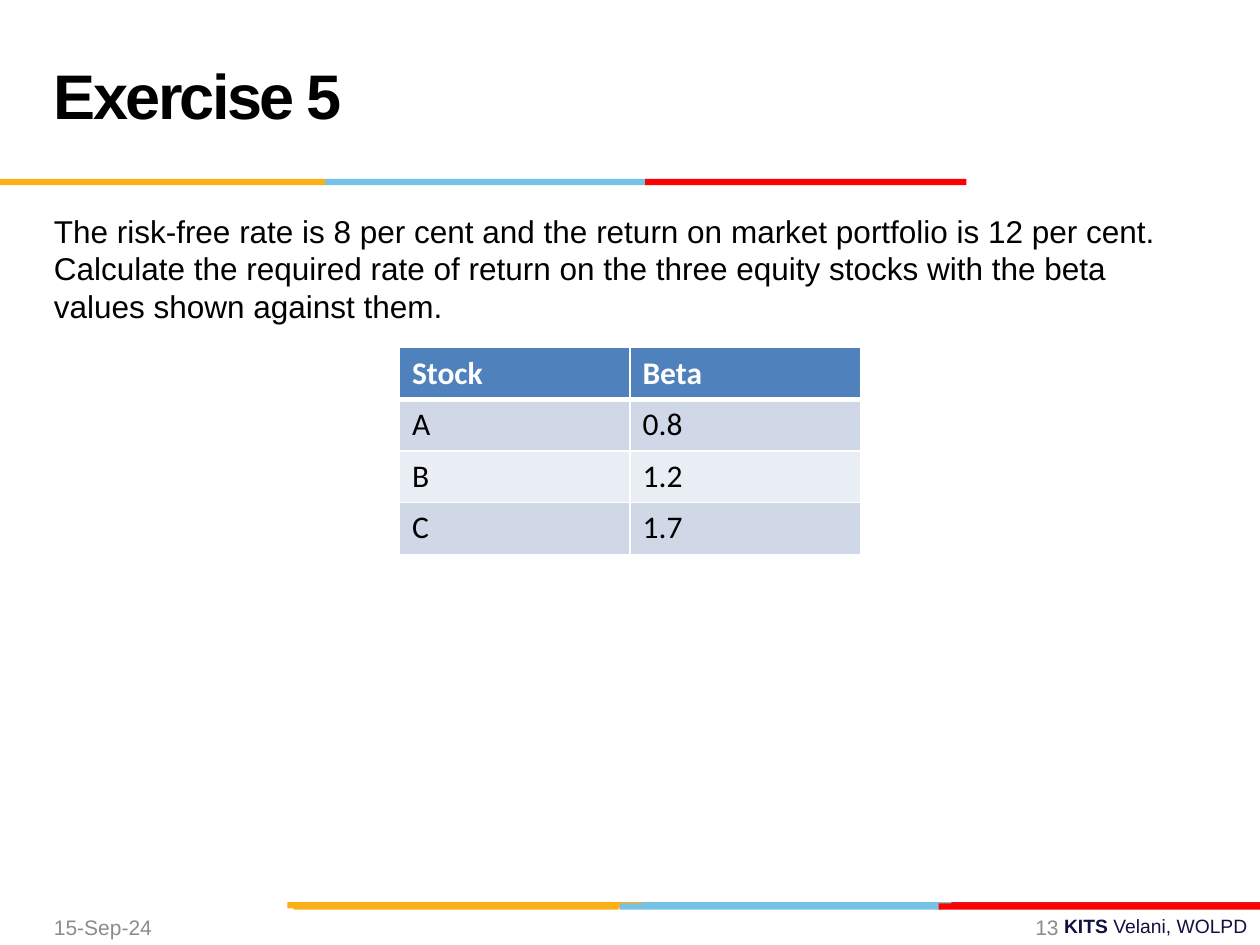
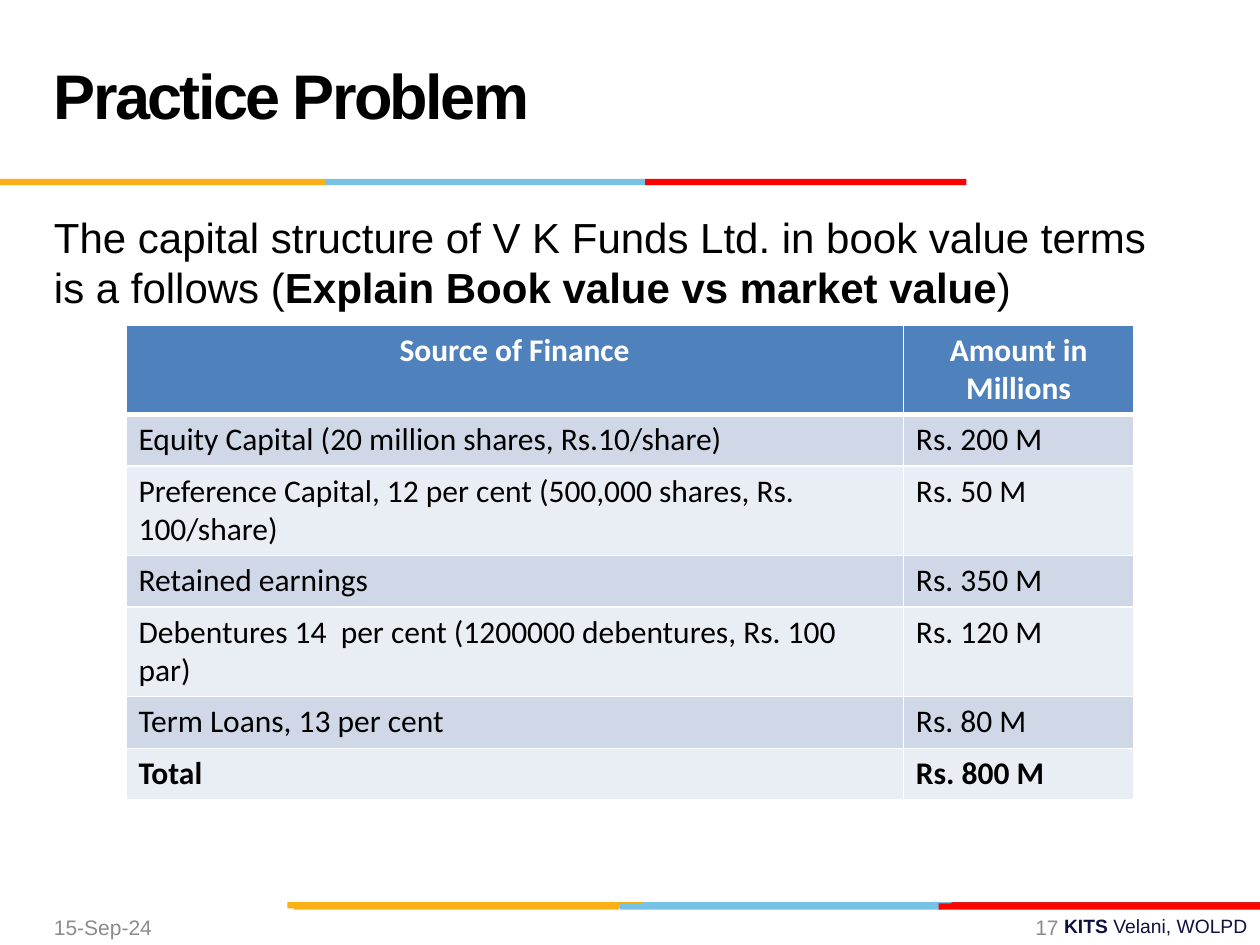
from dataclasses import dataclass
from lxml.etree import SubElement
from pptx import Presentation
from pptx.dml.color import RGBColor as RGB
from pptx.enum.shapes import MSO_SHAPE as Kind
from pptx.enum.text import MSO_ANCHOR as Anchor, PP_ALIGN as Align
from pptx.oxml.ns import qn
from pptx.util import Inches as In, Pt


@dataclass(frozen=True)
class Theme:
    gold: str = "FCB017"
    sky: str = "76C2E5"
    brick: str = "E31C24"
    red: str = "FF0000"
    ink: str = "000000"
    white: str = "FFFFFF"
    grey: str = "8C8C8C"
    navy: str = "101141"
    head: str = "4F81BD"
    bands: tuple = ("D0D8E8", "E9EDF4")
    font: str = "Arial"
    cell_font: str = "Calibri"
    title: int = 36
    cell: int = 18
    small: int = 12
    brand: int = 11


T = Theme()
WIDE, HIGH = 10, 7.5
EDGE = 0.33
FOOT = (7.21, 0.29)
LINE, PAD = 0.3, 0.11  # height of one text line in a cell, and its margins

DATE = "15-Sep-24"
BRAND = [("KITS ", True), ("Velani, WOLPD", False)]

# Each stripe: top, then (left, width, colour) of its parts from back to front
STRIPES = [
    (7.16, [(5.06, 2.55, T.sky), (7.55, 2.45, T.brick), (2.28, 2.82, T.gold)]),
    (7.17, [(4.92, 2.55, T.sky), (2.33, 2.58, T.gold), (7.45, 2.55, T.red)]),
    (1.42, [(2.58, 2.55, T.sky), (0, 2.58, T.gold), (5.12, 2.55, T.red)]),
]

SLIDES = [
    dict(
        title="Exercise 5", page="13", size=18,
        body=[("The risk-free rate is 8 per cent and the return on market "
               "portfolio is 12 per cent. Calculate the required rate of "
               "return on the three equity stocks with the beta values shown "
               "against them.", False)],
        top=2.76, cols=(1.83, 1.83), align=Align.LEFT, tall=(), bold=(0,),
        rows=[("Stock", "Beta"), ("A", "0.8"), ("B", "1.2"), ("C", "1.7")],
    ),
    dict(
        title="Practice Problem", page="17", size=24,
        body=[("The capital structure of V K Funds Ltd. in book value terms "
               "is a follows (", False),
              ("Explain Book value vs market value", True), (")", False)],
        top=2.58, cols=(6.17, 1.83), align=Align.CENTER,
        tall=(0, 2, 4), bold=(0, 6),
        rows=[
            ("Source of Finance", "Amount in Millions"),
            ("Equity Capital (20 million shares, Rs.10/share)", "Rs. 200 M"),
            ("Preference Capital, 12 per cent (500,000 shares, Rs. 100/share)",
             "Rs. 50 M"),
            ("Retained earnings", "Rs. 350 M"),
            ("Debentures 14  per cent (1200000 debentures, Rs. 100 par)",
             "Rs. 120 M"),
            ("Term Loans, 13 per cent", "Rs. 80 M"),
            ("Total", "Rs. 800 M"),
        ],
    ),
]


def write(para, runs, size, color, font=T.font, align=Align.LEFT):
    para.alignment = align
    for text, bold in runs:
        run = para.add_run()
        run.text = text
        run.font.name, run.font.size, run.font.bold = font, Pt(size), bold
        run.font.color.rgb = RGB.from_string(color)


def label(slide, box, runs, size, color, align=Align.LEFT, anchor=Anchor.MIDDLE):
    """Add a wrapped text box and return its paragraph."""
    frame = slide.shapes.add_textbox(*map(In, box)).text_frame
    frame.word_wrap = True
    frame.vertical_anchor = anchor
    para = frame.paragraphs[0]
    write(para, runs, size, color, align=align)
    return para


def stripe(slide, top, parts):
    group = slide.shapes.add_group_shape()
    for left, width, color in parts:
        bar = group.shapes.add_shape(
            Kind.RECTANGLE, In(left), In(top), In(width), In(0.05))
        bar.shadow.inherit = False
        bar.fill.solid()
        bar.fill.fore_color.rgb = RGB.from_string(color)
        bar.line.fill.background()


def rule(cell, sides):
    """Draw white borders; sides maps an edge tag to its points."""
    props = cell._tc.get_or_add_tcPr()
    for spot, (tag, width) in enumerate(sides.items()):
        edge = SubElement(props, qn("a:" + tag), w=str(Pt(width)))
        fill = SubElement(edge, qn("a:solidFill"))
        SubElement(fill, qn("a:srgbClr"), val=T.white)
        props.insert(spot, edge)


def grid(slide, item):
    rows, cols = item["rows"], item["cols"]
    left = (WIDE - sum(cols)) / 2
    table = slide.shapes.add_table(
        len(rows), len(cols), In(left), In(item["top"]),
        In(sum(cols)), In(len(rows) * (LINE + PAD))).table
    for col, width in zip(table.columns, cols):
        col.width = In(width)
    for r, texts in enumerate(rows):
        lines = 2 if r in item["tall"] else 1
        table.rows[r].height = In(lines * LINE + PAD)
        head = r == 0
        for c, text in enumerate(texts):
            cell = table.cell(r, c)
            cell.fill.solid()
            cell.fill.fore_color.rgb = RGB.from_string(
                T.head if head else T.bands[(r - 1) % 2])
            write(cell.text_frame.paragraphs[0], [(text, r in item["bold"])],
                  T.cell, T.white if head else T.ink, T.cell_font,
                  item["align"] if head else Align.LEFT)
            rule(cell, dict(lnL=1, lnR=1, lnT=3 if r == 1 else 1,
                            lnB=3 if head else 1))


def frame(slide, item):
    """Add the parts that every slide shares."""
    label(slide, (7.83, FOOT[0], 2.17, FOOT[1]), BRAND, T.brand, T.navy,
          Align.RIGHT, Anchor.TOP)
    for top, parts in STRIPES:
        stripe(slide, top, parts)
    title = label(slide, (EDGE, 0.17, 6.92, 1.25), [(item["title"], True)],
                  T.title, T.ink)
    title.line_spacing = Pt(T.title)
    title.runs[0].font._element.set("spc", "-150")
    label(slide, (EDGE, FOOT[0], 2.33, FOOT[1]), [(DATE, False)],
          T.small, T.grey)
    label(slide, (7.39, FOOT[0], 1.11, FOOT[1]), [(item["page"], False)],
          T.small, T.grey, Align.RIGHT)


def main():
    deck = Presentation()
    deck.slide_width, deck.slide_height = In(WIDE), In(HIGH)
    for item in SLIDES:
        slide = deck.slides.add_slide(deck.slide_layouts[6])
        frame(slide, item)
        body = label(slide, (EDGE, 1.63, 9, 5.45), item["body"], item["size"],
                     T.ink, anchor=Anchor.TOP)
        body.space_before = Pt(0.2 * item["size"])
        grid(slide, item)
    deck.save("out.pptx")


if __name__ == "__main__":
    main()
